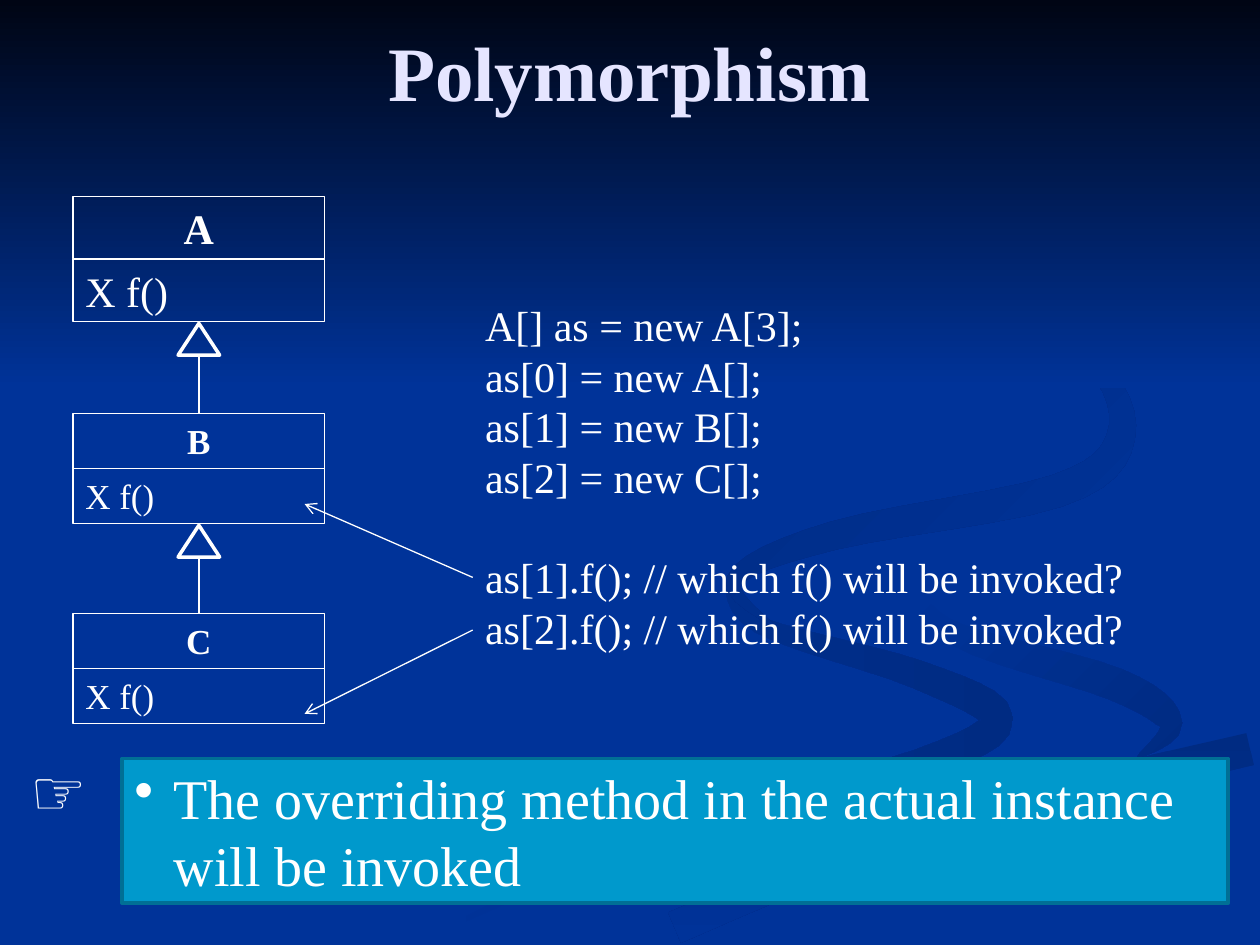
from math import hypot, pi, sin
from pptx import Presentation
from pptx.dml.color import RGBColor
from pptx.enum.shapes import MSO_CONNECTOR, MSO_SHAPE
from pptx.enum.text import MSO_ANCHOR as ANCHOR, PP_ALIGN as ALIGN
from pptx.oxml.ns import qn
from pptx.util import Cm, Pt
from lxml.etree import SubElement

WHITE = RGBColor(0xFF, 0xFF, 0xFF)
LAVENDER = RGBColor(0xE5, 0xE5, 0xFF)
BLUE = RGBColor(0x00, 0x33, 0x99)
NIGHT = RGBColor(0x00, 0x05, 0x14)
SHADE = RGBColor(0x00, 0x2B, 0x82)
CYAN = RGBColor(0x00, 0x99, 0xCC)
TEAL = RGBColor(0x00, 0x6F, 0x95)
SERIF = "Times New Roman"

TITLE = "Polymorphism"
CONCLUSION = "The overriding method in the actual instance will be invoked"
DECLARATIONS = ["A[] as = new A[3];", "as[0] = new A[];", "as[1] = new B[];", "as[2] = new C[];"]
CALLS = [f"as[{i}].f(); // which f() will be invoked?" for i in (1, 2)]
CLASSES = [("A", 3.96, 1.26, 24), ("B", 8.33, 1.11, 20), ("C", 12.37, 1.11, 20)]
METHOD = "X f()"
CLASS_LEFT, CLASS_WIDTH = 1.47, 5.08
TRIANGLE_WIDTH, TRIANGLE_HEIGHT = 0.84, 0.64
CALL_ARROWS = [((9.53, 11.64), (6.14, 10.16)), ((9.53, 12.7), (6.14, 14.39))]

RIBBON_STEPS = 6
RIBBONS = [
    (0, BLUE, SHADE, 1, [(14.6, 11.7), (15.3, 12.6), (18.5, 13.6), (20.1, 14.5),
                         (18.5, 15.4), (13.5, 16.7), (8.4, 19)]),
    (45, BLUE, SHADE, 1, [(18.4, 11.8), (19.3, 12.8), (22.5, 13.8), (23.6, 14.6), (22.9, 15.3)]),
    (90, SHADE, BLUE, 0, [(13.6, 18.7), (17, 17.3), (21, 16.1), (25.2, 15.1)]),
    (45, SHADE, BLUE, 1, [(19.4, 5.9), (22, 7.3), (22.6, 8.8), (21.3, 9.9),
                          (16.8, 10.8), (14.8, 11.7), (15.7, 12.7)]),
]

prs = Presentation()
prs.slide_width, prs.slide_height = Cm(25.4), Cm(19.05)
s = prs.slides.add_slide(prs.slide_layouts[6])
s.background.fill.solid()
s.background.fill.fore_color.rgb = BLUE


def smooth(points):
    padded = [points[0], *points, points[-1]]
    curve = []
    for a, b, c, d in zip(padded, padded[1:], padded[2:], padded[3:]):
        for step in range(RIBBON_STEPS):
            t = step / RIBBON_STEPS
            curve.append(tuple(
                q + t * (r - p) / 2 + t ** 2 * (p - 2.5 * q + 2 * r - u / 2)
                + t ** 3 * (1.5 * (q - r) + (u - p) / 2)
                for p, q, r, u in zip(a, b, c, d)))
    return curve + [points[-1]]


def ribbon_outline(spine, taper):
    curve = smooth(spine)
    last = len(curve) - 1
    left, right = [], []
    for i, (x, y) in enumerate(curve):
        (x0, y0), (x1, y1) = curve[max(i - 1, 0)], curve[min(i + 1, last)]
        half = 0.33 * (sin(pi * i / last) if taper else 1) / hypot(x1 - x0, y1 - y0)
        dx, dy = (y0 - y1) * half, (x1 - x0) * half
        left.append((Cm(x + dx), Cm(y + dy)))
        right.append((Cm(x - dx), Cm(y - dy)))
    return left + right[::-1]


def shade(sp, angle, start, end):
    sp.shadow.inherit = False
    sp.line.fill.background()
    sp.fill.gradient()
    sp.fill.gradient_angle = -angle % 360
    for stop, color in zip(sp.fill.gradient_stops, (start, end)):
        stop.color.rgb = color


def add_outline(kind, box, width=0.74, color=WHITE, fill=None):
    sp = s.shapes.add_shape(kind, *map(Cm, box))
    sp.shadow.inherit = False
    sp.line.color.rgb = color
    sp.line.width = Pt(width)
    if fill is None:
        sp.fill.background()
    else:
        sp.fill.solid()
        sp.fill.fore_color.rgb = fill
    return sp


def write(sp, lines, size, align=ALIGN.LEFT, anchor=ANCHOR.TOP, bold=False, color=WHITE, font=SERIF):
    tf = sp.text_frame
    tf.word_wrap = True
    tf.vertical_anchor = anchor
    for i, line in enumerate(lines):
        p = tf.add_paragraph() if i else tf.paragraphs[0]
        p.alignment = align
        r = p.add_run()
        r.text = line
        r.font.name, r.font.size, r.font.bold = font, Pt(size), bold
        r.font.color.rgb = color
    return tf.paragraphs


def add_text(box, lines, size, **style):
    return write(s.shapes.add_textbox(*map(Cm, box)), lines, size, **style)


def add_line(start, end, arrow=False):
    line = s.shapes.add_connector(MSO_CONNECTOR.STRAIGHT, *map(Cm, start + end))
    line.line.color.rgb = WHITE
    line.line.width = Pt(0.74)
    if arrow:
        SubElement(line.line._get_or_add_ln(), qn("a:tailEnd"), type="arrow")
    SubElement(line._element.spPr, qn("a:effectLst"))


for angle, start, end, taper, spine in RIBBONS:
    first, *rest = ribbon_outline(spine, taper)
    builder = s.shapes.build_freeform(*first)
    builder.add_line_segments(rest, close=True)
    shade(builder.convert_to_shape(), angle, start, end)
sky = s.shapes.add_shape(MSO_SHAPE.RECTANGLE, 0, 0, prs.slide_width, Cm(7.82))
shade(sky, 90, NIGHT, BLUE)

add_text((1.27, 0.43, 22.86, 1.98), [TITLE], 44, align=ALIGN.CENTER,
         anchor=ANCHOR.MIDDLE, bold=True, color=LAVENDER)

for name, top, row, size in CLASSES:
    for i, (text, align) in enumerate([(name, ALIGN.CENTER), (METHOD, ALIGN.LEFT)]):
        cell = add_outline(MSO_SHAPE.RECTANGLE, (CLASS_LEFT, top + i * row, CLASS_WIDTH, row))
        write(cell, [text], size, align=align, bold=i == 0)

center = CLASS_LEFT + CLASS_WIDTH / 2
for (_, top, row, _), (_, child_top, _, _) in zip(CLASSES, CLASSES[1:]):
    tip = top + 2 * row + 0.04
    base = tip + TRIANGLE_HEIGHT
    add_outline(MSO_SHAPE.ISOSCELES_TRIANGLE,
                (center - TRIANGLE_WIDTH / 2, tip, TRIANGLE_WIDTH, TRIANGLE_HEIGHT), 2)
    add_line((center, base), (center, child_top))

code = add_text((9.53, 5.92, 14.4, 10.41), DECLARATIONS + CALLS, 24)
code[len(DECLARATIONS)].space_before = Pt(28.8)
for start, end in CALL_ARROWS:
    add_line(start, end, arrow=True)

add_text((0.36, 15.04, 2.11, 1.78), ["\u261e"], 36, font="Arial")
banner = add_outline(MSO_SHAPE.RECTANGLE, (2.46, 15.29, 22.3, 2.92), 2, TEAL, CYAN)
p = write(banner, [CONCLUSION], 32, anchor=ANCHOR.MIDDLE)[0]
pPr = p._p.get_or_add_pPr()
pPr.set("marL", str(Cm(0.79)))
pPr.set("indent", str(-Cm(0.79)))
SubElement(pPr, qn("a:buChar"), char="\u2022")

prs.save("out.pptx")
